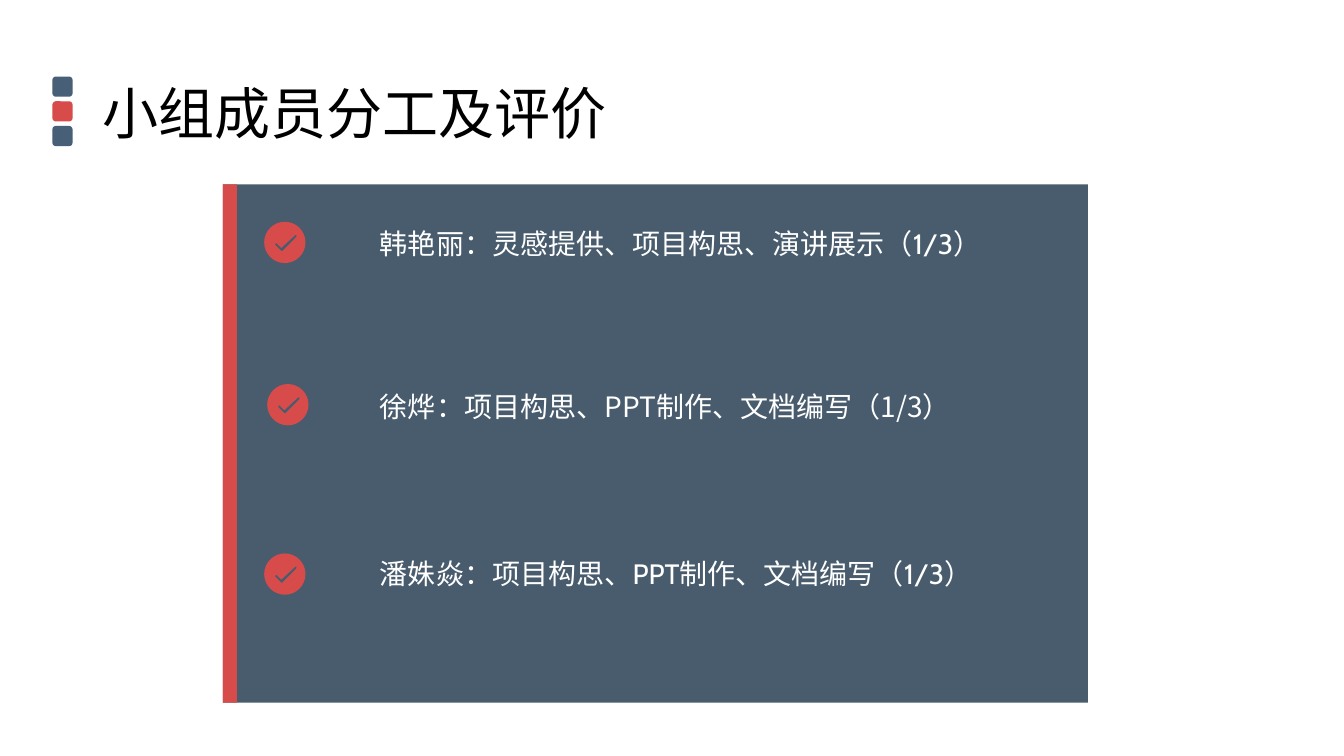
from dataclasses import dataclass

from lxml import etree
from pptx import Presentation
from pptx.dml.color import RGBColor
from pptx.enum import shapes, text
from pptx.oxml import ns
from pptx.util import Inches, Pt


@dataclass(frozen=True)
class Theme:
    slate: str = "475F77"
    panel: str = "354B5E"
    red: str = "D74B4B"
    black: str = "000000"
    white: str = "FFFFFF"
    latin: str = "Cabin"
    chinese: str = "Noto Sans CJK SC"
    title_size: int = 40
    body_size: int = 20


THEME = Theme()
MEMBERS = [
    # wording, badge left, badge top, text top, text width, text height, font
    ("韩艳丽：灵感提供、项目构思、演讲展示（1/3）", 2.62, 2.2, 2.2, 6.3, 0.71, THEME.latin),
    ("徐烨：项目构思、PPT制作、文档编写（1/3）", 2.65, 3.81, 3.81, 6.67, 0.78, THEME.chinese),
    ("潘姝焱：项目构思、PPT制作、文档编写（1/3）", 2.62, 5.49, 5.47, 6.57, 0.44, THEME.latin),
]
BADGE_SIZE = 0.41
CURVE = 0.55  # control arm of a quarter circle, as a share of the radius
CHECK_MARK = [(0.32, 0.15), (0.18, 0.29), (0.17, 0.29), (0.11, 0.23), (0.11, 0.22),
              (0.12, 0.21), (0.13, 0.22), (0.17, 0.26), (0.31, 0.13), (0.32, 0.13)]


def write_text(frame, wording, size, color, font=THEME.latin, spacing=None,
               anchor=text.MSO_ANCHOR.TOP):
    frame.word_wrap = True
    frame.auto_size = text.MSO_AUTO_SIZE.NONE
    frame.vertical_anchor = anchor
    para = frame.paragraphs[0]
    para.alignment = text.PP_ALIGN.LEFT
    if spacing:
        para.line_spacing = spacing
    span = para.add_run()
    span.text = wording
    span.font.size = Pt(size)
    span.font.color.rgb = RGBColor.from_string(color)
    span.font.name = font
    # East Asian typeface
    etree.SubElement(span.font._element, ns.qn("a:ea"), typeface=THEME.chinese)


def paint(shape, color, opacity=100):
    shape.shadow.inherit = False
    shape.fill.solid()
    shape.fill.fore_color.rgb = RGBColor.from_string(color)
    shape.line.fill.background()
    if opacity < 100:
        tint = shape._element.spPr.find(".//" + ns.qn("a:srgbClr"))
        etree.SubElement(tint, ns.qn("a:alpha"), val=str(opacity * 1000))


def add_block(parent, kind, left, top, width, height, color, opacity=100):
    block = parent.shapes.add_shape(
        kind, Inches(left), Inches(top), Inches(width), Inches(height))
    paint(block, color, opacity)


def add_heading(page, wording, left, top, width, height):
    # Three stacked tiles, kept on the layout behind the title
    tiles = page.shapes.add_group_shape()
    for row, color in enumerate([THEME.slate, THEME.red, THEME.slate]):
        add_block(tiles, shapes.MSO_SHAPE.ROUNDED_RECTANGLE,
                  left, top + 0.2 + row * 0.245, 0.2, 0.2, color)
    page.slide_layout.shapes._spTree.append(tiles._element)
    # Title
    title = page.shapes.title
    title.left, title.top = Inches(left + 0.4), Inches(top)
    title.width, title.height = Inches(width - 0.4), Inches(height)
    write_text(title.text_frame, wording, THEME.title_size, THEME.black,
               spacing=0.9, anchor=text.MSO_ANCHOR.MIDDLE)


def add_panel(page, left, top, width, height):
    panel = page.shapes.add_group_shape()
    rectangle = shapes.MSO_SHAPE.RECTANGLE
    add_block(panel, rectangle, left, top, width, height, THEME.panel, 90)
    add_block(panel, rectangle, left, top, 0.14, height, THEME.red)


def bend(shape, corners):
    # Turn the first corners, three by three, into Bézier curves
    lines = list(shape._element.spPr.iter(ns.qn("a:lnTo")))[:corners]
    for first in range(0, corners, 3):
        curve = etree.Element(ns.qn("a:cubicBezTo"))
        lines[first].addprevious(curve)
        for line in lines[first:first + 3]:
            curve.append(line[0])
            line.getparent().remove(line)


def add_badge(page, left, top):
    # Disc with the check mark cut out
    radius = BADGE_SIZE / 2
    quarter = [(-CURVE, -1), (-1, -CURVE), (-1, 0)]
    disc = [(0, -1)]
    for _ in range(4):
        disc += quarter
        quarter = [(y, -x) for x, y in quarter]
    disc = [(radius + radius * x, radius + radius * y) for x, y in disc]
    outline, hole = [[(Inches(x), Inches(y)) for x, y in points]
                     for points in (disc, CHECK_MARK)]
    builder = page.shapes.build_freeform(*outline[0])
    builder.add_line_segments(outline[1:])
    builder.move_to(*hole[0])
    builder.add_line_segments(hole[1:])
    badge = builder.convert_to_shape(Inches(left), Inches(top))
    bend(badge, len(outline) - 1)
    paint(badge, THEME.red)


def add_member(page, wording, badge_left, badge_top, top, width, height, font):
    add_badge(page, badge_left, badge_top)
    box = page.shapes.add_textbox(
        Inches(3.67), Inches(top), Inches(width), Inches(height))
    write_text(box.text_frame, wording, THEME.body_size, THEME.white, font)


def main():
    deck = Presentation()
    deck.slide_width, deck.slide_height = Inches(13.33), Inches(7.5)
    page = deck.slides.add_slide(deck.slide_layouts.get_by_name("Title Only"))
    add_heading(page, "小组成员分工及评价", 0.52, 0.56, 5.84, 1.18)
    add_panel(page, 2.21, 1.83, 8.58, 5.14)
    for member in MEMBERS:
        add_member(page, *member)
    deck.save("out.pptx")


if __name__ == "__main__":
    main()
